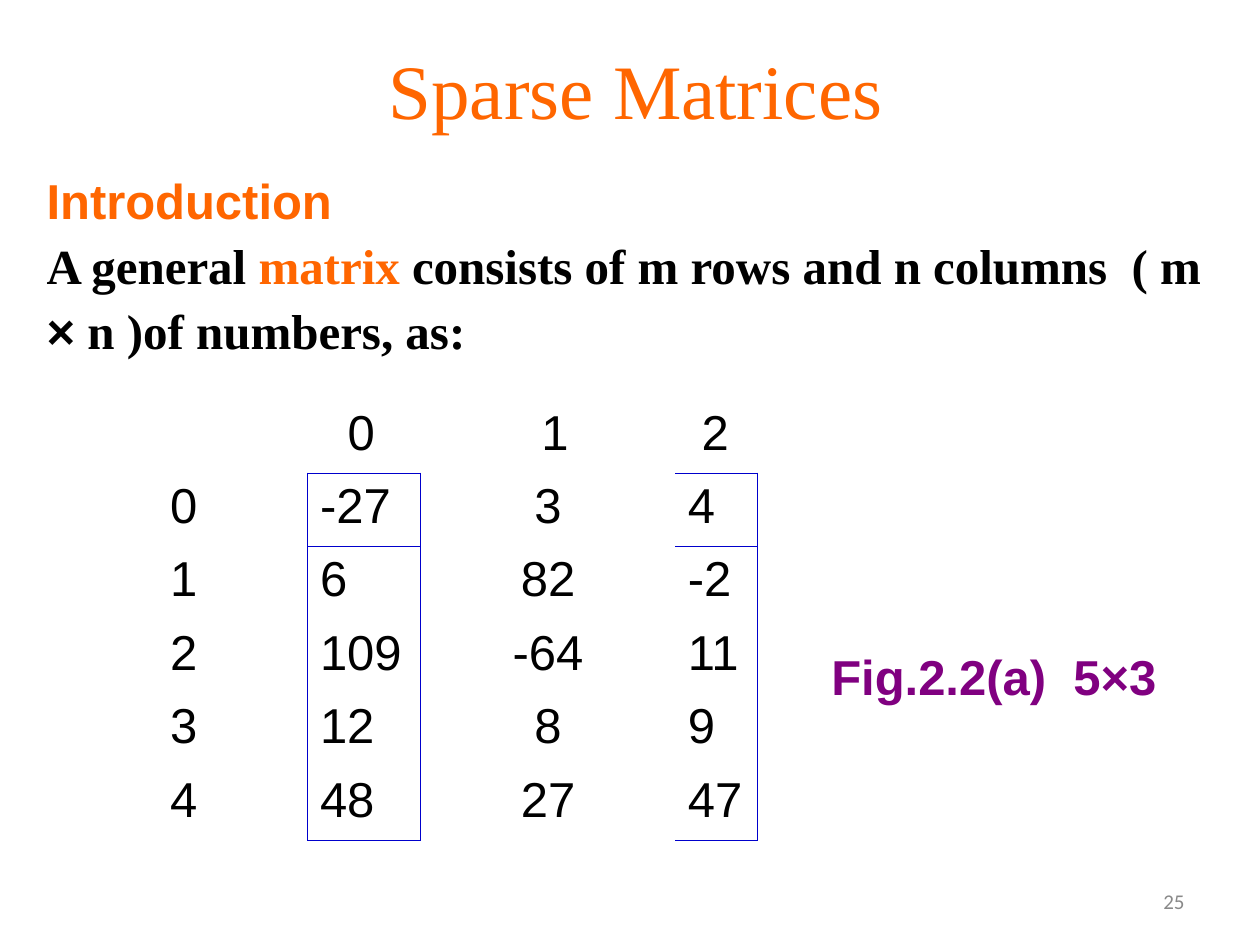
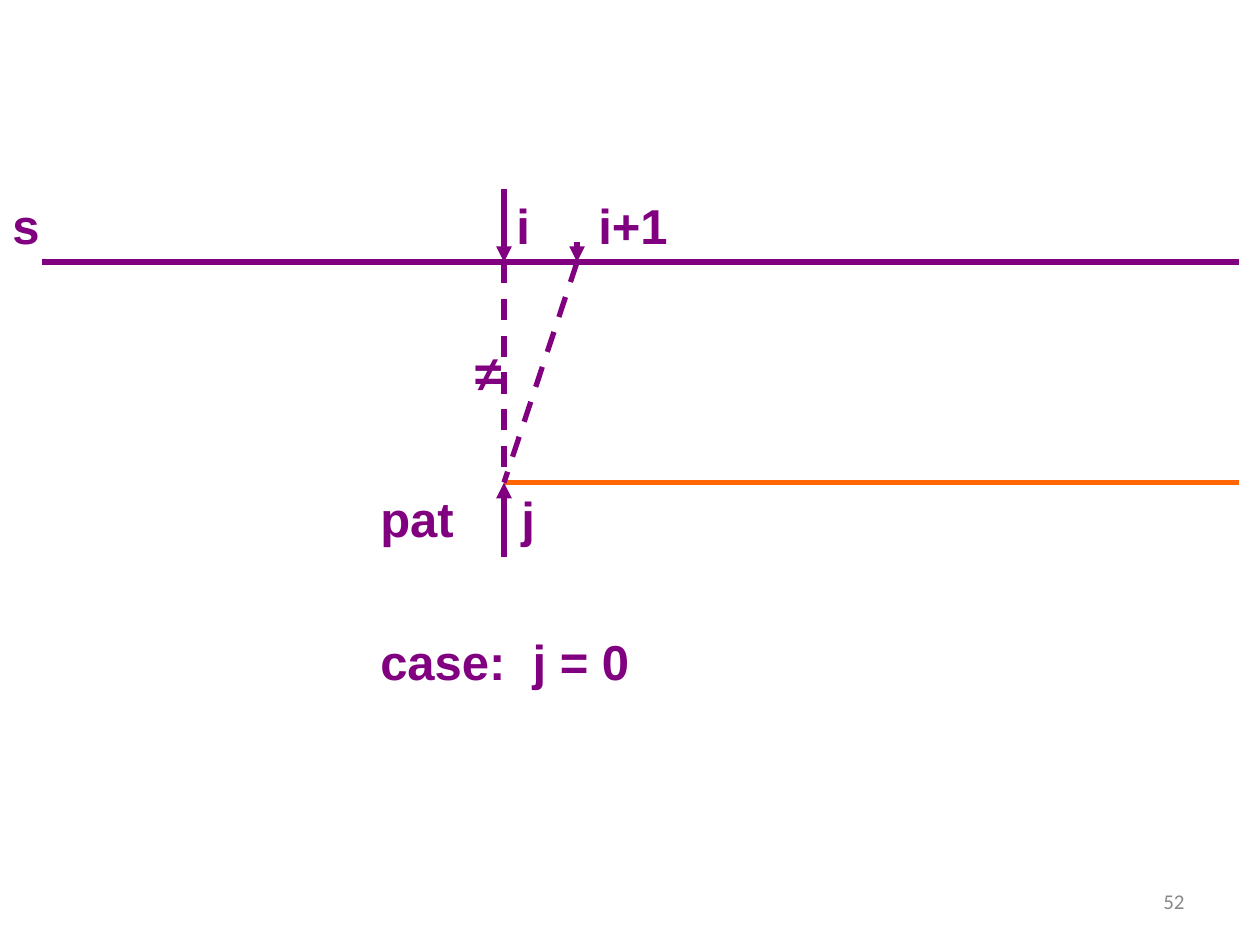
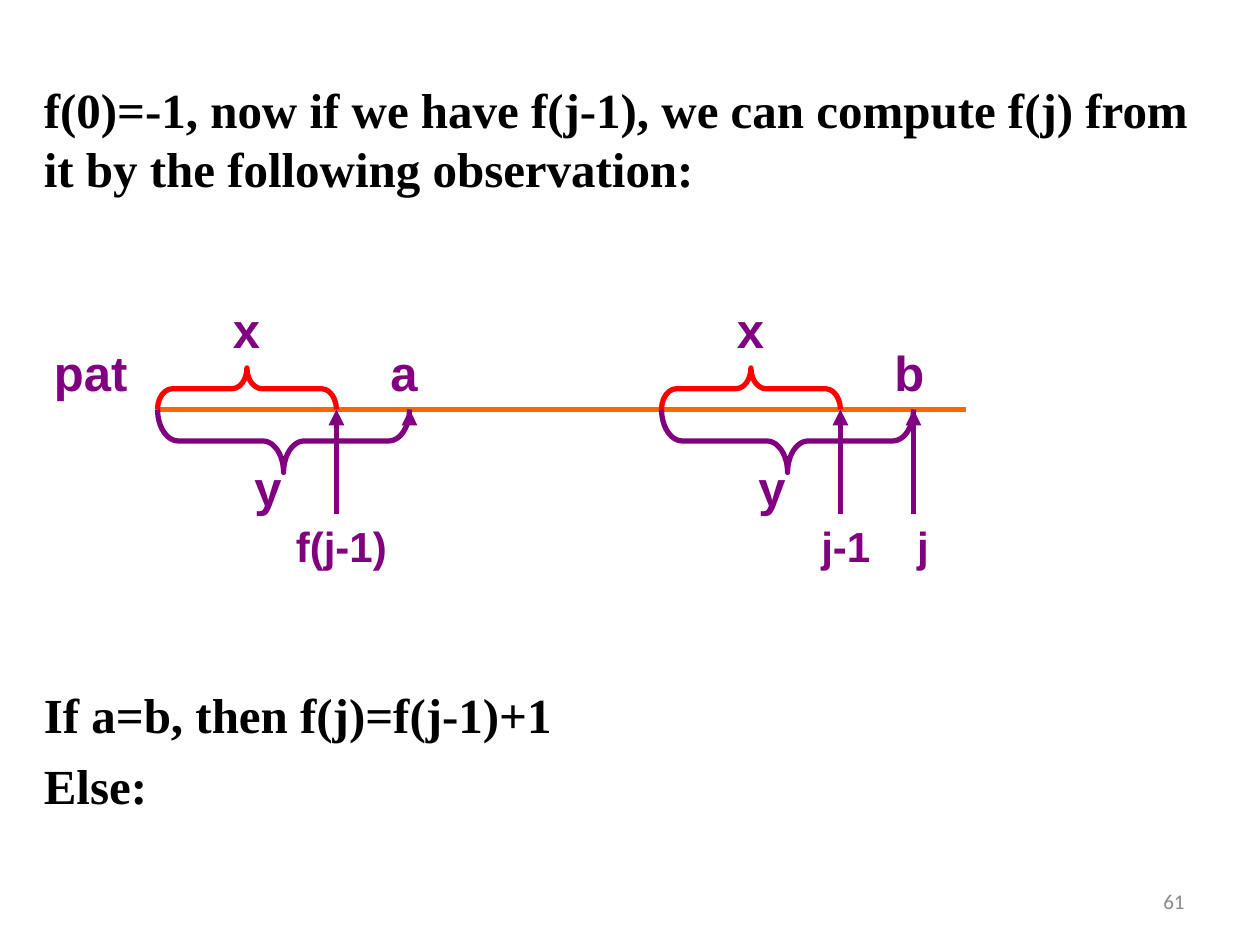
from lxml import etree
from pptx import Presentation
from pptx import util as u
from pptx.dml.color import RGBColor
from pptx.enum import dml, shapes, text
from pptx.oxml import ns

COLORS = {
    "orange": "FF6600",
    "purple": "800080",
    "red": "FF0000",
    "blue": "0000CC",
    "black": "000000",
    "gray": "898989",
}
SANS, SERIF, FOOTER = "Arial", "Times New Roman", "Calibri"
NO_GRID_STYLE = "{2D5ABB26-0587-4C30-8999-92F81FD0307C}"


def rgb(color):
    return RGBColor.from_string(COLORS[color])


def add_xml(parent, tag, **attributes):
    return etree.SubElement(parent, ns.qn(tag), attributes)


class Deck:
    """Shared style and the slide being filled."""

    def __init__(self):
        self.prs = Presentation()
        self.prs.slide_width, self.prs.slide_height = u.Inches(10), u.Inches(7.5)
        self.slide = None

    def new_slide(self, number):
        self.slide = self.prs.slides.add_slide(self.prs.slide_layouts[6])
        self.text(7.17, 6.95, 2.33, 0.4, [str(number)], size=12, font=FOOTER,
                  color="gray", bold=False, align=text.PP_ALIGN.RIGHT,
                  anchor=text.MSO_ANCHOR.MIDDLE)

    def run(self, paragraph, words, size, font, color, bold):
        run = paragraph.add_run()
        run.text = words
        run.font.size, run.font.name, run.font.bold = u.Pt(size), font, bold
        run.font.color.rgb = rgb(color)

    def text(self, x, y, w, h, paragraphs, size=28, font=SANS, color="purple",
             bold=True, align=text.PP_ALIGN.LEFT, anchor=text.MSO_ANCHOR.TOP,
             inset=0.1, spacing=None, before=0, tabs=()):
        """A paragraph is a string or a list of (words, font, color) runs."""
        box = self.slide.shapes.add_textbox(*map(u.Inches, (x, y, w, h)))
        frame = box.text_frame
        frame.word_wrap, frame.vertical_anchor = True, anchor
        frame.margin_left = frame.margin_right = u.Inches(inset)
        frame.margin_top = frame.margin_bottom = u.Inches(inset / 2)
        for index, runs in enumerate(paragraphs):
            paragraph = frame.add_paragraph() if index else frame.paragraphs[0]
            paragraph.alignment = align
            if spacing:
                paragraph.line_spacing = spacing
            if index and before:
                paragraph.space_before = u.Pt(before)
            if tabs:
                stops = add_xml(paragraph._p.get_or_add_pPr(), "a:tabLst")
                for stop in tabs:
                    add_xml(stops, "a:tab", pos=str(u.Inches(stop)), algn="l")
            if isinstance(runs, str):
                runs = [(runs, font, color)]
            for words, run_font, run_color in runs:
                self.run(paragraph, words, size, run_font, run_color, bold)

    def line(self, start, end, color="purple", dash=False, arrow=False):
        line = self.slide.shapes.add_connector(
            shapes.MSO_CONNECTOR.STRAIGHT, *map(u.Inches, (*start, *end)))
        line.line.color.rgb, line.line.width = rgb(color), u.Pt(3)
        if dash:
            line.line.dash_style = dml.MSO_LINE.DASH
        if arrow:
            add_xml(line.line._get_or_add_ln(), "a:tailEnd", type="triangle")
        add_xml(line._element.spPr, "a:effectLst")

    def brace(self, left, top, length, depth, color, rotation, curve):
        """A horizontal brace; left and top give its place after rotation."""
        shift = (length - depth) / 2
        brace = self.slide.shapes.add_shape(
            shapes.MSO_SHAPE.RIGHT_BRACE,
            *map(u.Inches, (left + shift, top - shift, depth, length)))
        brace.rotation, brace.adjustments[0] = rotation, curve
        brace.shadow.inherit = False
        brace.fill.background()
        brace.line.color.rgb, brace.line.width = rgb(color), u.Pt(3)

    def matrix(self, x, y, widths, height, rows, indents):
        """Header row and column around numbers held in square brackets."""
        last_row, last_column = len(rows) - 1, len(widths) - 1
        frame = self.slide.shapes.add_table(
            len(rows), len(widths),
            *map(u.Inches, (x, y, sum(widths), height)))
        table = frame.table
        table.first_row = table.horz_banding = False
        table._tbl.tblPr.find(ns.qn("a:tableStyleId")).text = NO_GRID_STYLE
        for column, width in zip(table.columns, widths):
            column.width = u.Inches(width)
        for r, row in enumerate(rows):
            for c, value in enumerate(row):
                cell = table.cell(r, c)
                bracket = c in (1, last_column)
                edges = {
                    "a:lnL": r > 0 and c == 1,
                    "a:lnR": r > 0 and c in (0, last_column),
                    "a:lnT": r == 1 and bracket,
                    "a:lnB": r in (0, last_row) and bracket,
                }
                for tag, shown in edges.items():
                    if shown:
                        self.border(cell, tag)
                cell.fill.background()
                if r == 0:
                    cell.margin_left = u.Inches(0.1 + indents[c])
                paragraph = cell.text_frame.paragraphs[0]
                if c == 2:
                    paragraph.alignment = text.PP_ALIGN.CENTER
                if value:
                    self.run(paragraph, value, 28, SANS, "black", False)

    def border(self, cell, tag):
        edge = add_xml(cell._tc.get_or_add_tcPr(), tag, w=str(u.Pt(0.45)))
        add_xml(add_xml(edge, "a:solidFill"), "a:srgbClr", val=COLORS["blue"])


def sparse_matrices(deck):
    deck.new_slide(25)
    deck.text(0.42, 0.33, 9.25, 0.75, ["Sparse Matrices"], size=44, font=SERIF,
              color="orange", bold=False, align=text.PP_ALIGN.CENTER,
              anchor=text.MSO_ANCHOR.MIDDLE)
    definition = [
        ("A general ", SERIF, "black"),
        ("matrix", SERIF, "orange"),
        (" consists of m rows and n columns  ( m ", SERIF, "black"),
        ("×", SANS, "black"),
        (" n )of numbers, as:", SERIF, "black"),
    ]
    deck.text(0.25, 1.25, 9.5, 1.66,
              [[("Introduction", SANS, "orange")], definition],
              inset=0.12, spacing=1.1)
    rows = [
        ["", "0", "1", "2"],
        ["0", "-27", "3", "4"],
        ["1", "6", "82", "-2"],
        ["2", "109", "-64", "11"],
        ["3", "12", "8", "9"],
        ["4", "48", "27", "47"],
    ]
    deck.matrix(1.25, 3.17, [1.19, 0.9, 2.02, 0.65], 3.5, rows,
                indents=[0, 0.22, 0.11, 0.11])
    deck.text(6.5, 5.08, 2.99, 0.57, ["Fig.2.2(a)  5×3"])


def mismatch_at_start(deck):
    deck.new_slide(52)
    s_y, pat_y, i_x, next_x, right = 2.08, 3.83, 4, 4.58, 9.83
    # String and pattern
    deck.text(0, 1.5, 9.58, 0.57, ["s\ti\ti+1"], tabs=(4, 4.65))
    deck.line((0.33, s_y), (right, s_y))
    deck.line((i_x, pat_y), (right, pat_y), "orange")
    # Compared positions
    deck.line((i_x, s_y), (i_x, pat_y), dash=True)
    deck.line((i_x, 1.5), (i_x, s_y), arrow=True)
    deck.line((i_x, 4.42), (i_x, pat_y), arrow=True)
    deck.line((next_x, 1.92), (next_x, s_y), arrow=True)
    deck.text(2.92, pat_y, 2.33, 1.7, ["pat\tj", "case:  j = 0"],
              before=48, tabs=(1.12,))
    deck.text(3.67, 2.67, 0.42, 0.57, ["≠"])
    deck.line((next_x, s_y), (i_x, pat_y), dash=True)


def failure_function(deck):
    deck.new_slide(61)
    pat_y, label_y = 3.25, 4.08
    deck.line((1.25, pat_y), (7.67, pat_y), "orange")
    deck.text(0.33, 2.67, 0.92, 0.57, ["pat"])
    # Matching prefix and suffix
    for start, end_letter in ((1.25, "a"), (5.25, "b")):
        deck.brace(start, 2.92, 1.42, 0.33, "red", 270, 0.36)
        deck.brace(start, pat_y, 2, 0.5, "purple", 90, 0.33)
        for letter, dx, y in (("x", 0.5, 2.33), ("y", 0.67, 3.58),
                              (end_letter, 1.75, 2.67)):
            deck.text(start + dx, y, 0.42, 0.57, [letter])
    # Index arrows
    for x, tail_y in ((2.67, label_y), (6.67, label_y),
                      (7.25, label_y), (3.25, 3.33)):
        deck.line((x, tail_y), (x, pat_y), arrow=True)
    deck.text(2.25, label_y, 1, 0.5, ["f(j-1)"], size=24)
    deck.text(6.42, label_y, 1.33, 0.5, ["j-1\tj"], size=24, tabs=(0.76,))
    # Rule
    deck.text(0.25, 5.38, 9.5, 1.13, ["If a=b, then f(j)=f(j-1)+1", "Else:"],
              font=SERIF, color="black", before=7)
    deck.text(0.25, 0.58, 9.5, 1.04,
              ["f(0)=-1, now if we have f(j-1), we can compute f(j) from it "
               "by the following observation:"], font=SERIF, color="black")


def main():
    deck = Deck()
    sparse_matrices(deck)
    mismatch_at_start(deck)
    failure_function(deck)
    deck.prs.save("out.pptx")


if __name__ == "__main__":
    main()
